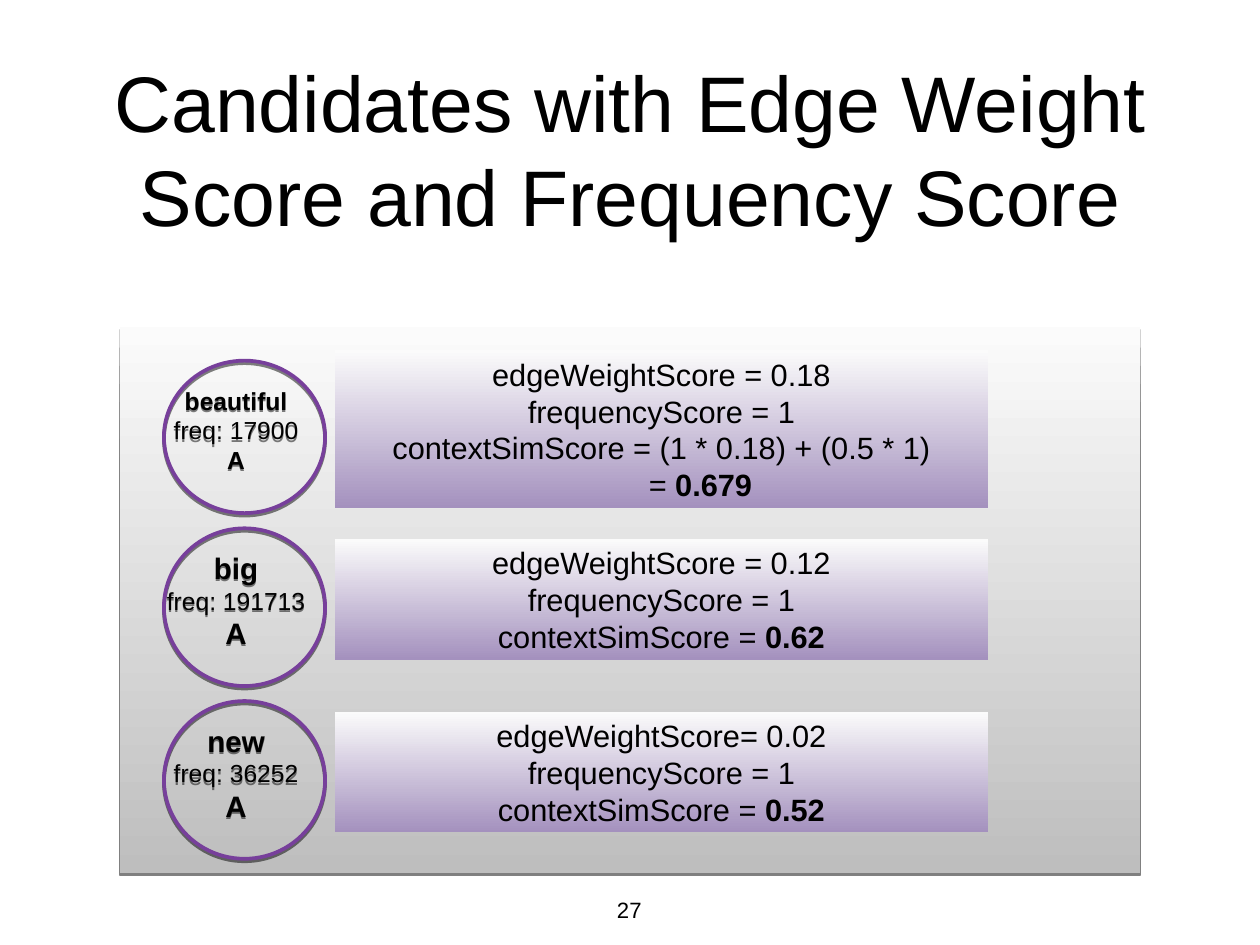
from lxml.etree import SubElement
from pptx import Presentation
from pptx.dml.color import RGBColor
from pptx.enum.shapes import MSO_SHAPE as Shape
from pptx.enum.text import MSO_ANCHOR as Anchor, MSO_AUTO_SIZE as AutoSize, PP_ALIGN as Align
from pptx.oxml.ns import qn
from pptx.util import Cm, Pt

# Content
TITLE = "Candidates with Edge Weight Score and Frequency Score"
PAGE_NUMBER = "27"
# Each line is (text before the bold part, bold part)
CANDIDATES = [
    {"word": "beautiful", "frequency": "freq: 17900", "word_size": 20,
     "middle": 12.52, "circle_height": 4.37, "box_height": 4.52,
     "scores": [("edgeWeightScore = 0.18", ""), ("frequencyScore = 1", ""),
                ("contextSimScore = (1 * 0.18) + (0.5 * 1)", ""), ("= ", "0.679")]},
    {"word": "big", "frequency": "freq: 191713", "word_size": 24,
     "middle": 17.4, "circle_height": 4.52, "box_height": 3.45,
     "scores": [("edgeWeightScore = 0.12", ""), ("frequencyScore = 1", ""),
                ("contextSimScore = ", "0.62")]},
    {"word": "new", "frequency": "freq: 36252", "word_size": 24,
     "middle": 22.35, "circle_height": 4.52, "box_height": 3.45,
     "scores": [("edgeWeightScore= 0.02", ""), ("frequencyScore = 1", ""),
                ("contextSimScore = ", "0.52")]},
]

# Colours
BLACK = RGBColor(0x00, 0x00, 0x00)
PALE = RGBColor(0xFB, 0xFB, 0xFB)
GREY = RGBColor(0xBE, 0xBE, 0xBE)
LILAC = RGBColor(0xA4, 0x91, 0xBE)
PURPLE = RGBColor(0x77, 0x3F, 0x9B)

# Layout in centimetres
CIRCLE_LEFT, CIRCLE_WIDTH = 4.7, 4.62
BOX_LEFT, BOX_WIDTH = 9.6, 18.72
BOX_RAISE = 0.22
RESULT_INDENT = 2.24
LINE_HEIGHT = 1.2


def write(shape, lines, sizes, anchor=Anchor.MIDDLE, wrap=True, right=0, bottom=0):
    """Fill a shape with centred lines of (plain, bold) text."""
    frame = shape.text_frame
    frame.auto_size = AutoSize.NONE
    frame.word_wrap = wrap
    frame.vertical_anchor = anchor
    frame.margin_left = frame.margin_top = 0
    frame.margin_right, frame.margin_bottom = Cm(right), Cm(bottom)
    for index, (parts, size) in enumerate(zip(lines, sizes)):
        paragraph = frame.add_paragraph() if index else frame.paragraphs[0]
        paragraph.alignment = Align.CENTER
        paragraph.line_spacing = Pt(size * LINE_HEIGHT)
        paragraph.space_before = paragraph.space_after = Pt(0)
        if parts[0].startswith("="):
            paragraph._p.get_or_add_pPr().set("marL", str(Cm(RESULT_INDENT)))
        for text, bold in zip(parts, (False, True)):
            if text:
                run = paragraph.add_run()
                run.text = text
                run.font.name, run.font.size, run.font.bold = "Arial", Pt(size), bold
                run.font.color.rgb = BLACK


def add_plain_shape(slide, kind, left, top, width, height):
    shape = slide.shapes.add_shape(kind, Cm(left), Cm(top), Cm(width), Cm(height))
    shape.shadow.inherit = False
    shape.fill.background()
    shape.line.fill.background()
    return shape


def shade(shape, end_colour):
    """Vertical gradient from pale to the given colour."""
    shape.fill.gradient()
    shape.fill.gradient_angle = 270
    for stop, position, colour in zip(shape.fill.gradient_stops, (0, 1), (PALE, end_colour)):
        stop.position = position
        stop.color.rgb = colour


def add_drop_shadow(shape):
    effects = shape._element.spPr.find(qn("a:effectLst"))
    shadow = SubElement(effects, qn("a:outerShdw"), blurRad="0", dist=str(Pt(2)),
                        dir="5400000", algn="ctr", rotWithShape="0")
    colour = SubElement(shadow, qn("a:srgbClr"), val=str(BLACK))
    SubElement(colour, qn("a:alpha"), val="50000")


def main():
    presentation = Presentation()
    presentation.slide_width, presentation.slide_height = Cm(36.12), Cm(27.08)
    slide = presentation.slides.add_slide(presentation.slide_layouts[5])

    # Title and page number
    title = slide.shapes.title
    title.left, title.top, title.width, title.height = Cm(2.64), Cm(1.24), Cm(30.84), Cm(5.99)
    write(title, [(TITLE, "")], [64])
    number = slide.shapes.add_textbox(Cm(17.53), Cm(25.7), Cm(1.02), Cm(1.07))
    write(number, [(PAGE_NUMBER, "")], [18], anchor=Anchor.TOP)

    # Background panel
    panel = add_plain_shape(slide, Shape.RECTANGLE, 3.43, 9.37, 29.26, 15.64)
    shade(panel, GREY)
    add_drop_shadow(panel)

    # One circle and one score box per candidate
    for candidate in CANDIDATES:
        height, word_size = candidate["circle_height"], candidate["word_size"]
        circle = add_plain_shape(slide, Shape.OVAL, CIRCLE_LEFT,
                                 candidate["middle"] - height / 2, CIRCLE_WIDTH, height)
        circle.line.color.rgb = PURPLE
        circle.line.width = Pt(3)
        add_drop_shadow(circle)
        write(circle, [("", candidate["word"]), (candidate["frequency"], ""), ("", "A")],
              [word_size, 20, word_size], wrap=False, right=0.48, bottom=0.4)

        height, scores = candidate["box_height"], candidate["scores"]
        box = add_plain_shape(slide, Shape.RECTANGLE, BOX_LEFT,
                              candidate["middle"] - BOX_RAISE - height / 2, BOX_WIDTH, height)
        shade(box, LILAC)
        write(box, scores, [25] * len(scores))

    presentation.save("out.pptx")


if __name__ == "__main__":
    main()
